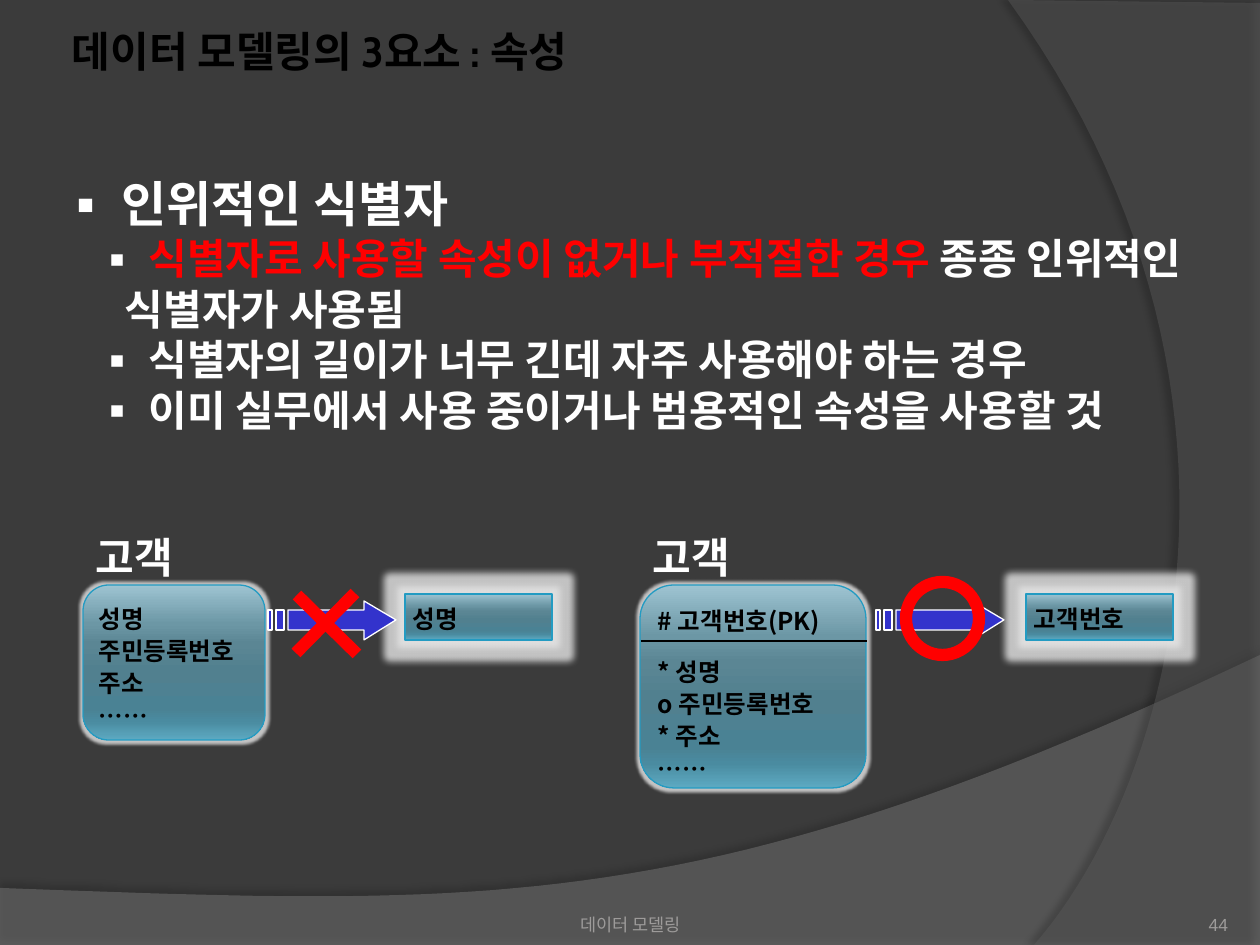
import pptx
import pptx.util
import pptx.oxml
import pptx.dml.color
import pptx.enum.shapes
import pptx.enum.text
import pptx.oxml.ns

PX = 914400 / 126
KIND = pptx.enum.shapes.MSO_SHAPE
ALIGN = pptx.enum.text.PP_ALIGN
ANCHOR = pptx.enum.text.MSO_ANCHOR
RGB = pptx.dml.color.RGBColor.from_string
NS = pptx.oxml.ns.nsdecls("a")
FONT = "Noto Sans CJK KR"
HUE = {"back": "3B3B3B", "hill": "7F7F7F", "side": "5E5E5E", "foot": "9D9B9A",
       "black": "000000", "white": "FFFFFF", "red": "FF0000",
       "blue": "3333CC", "edge": "239BC2", "glow": "E6E6E6"}
STOPS = [(0, "9EC4D2"), (25, "6C97A5"), (38, "5B8694"), (55, "51808F"),
         (80, "4A8294"), (88, "4A8BA0"), (100, "5DAAC2")]

deck = pptx.Presentation()
deck.slide_width = pptx.util.Inches(10)
deck.slide_height = pptx.util.Inches(7.5)
slide = deck.slides.add_slide(deck.slide_layouts[6])
slide.background.fill.solid()
slide.background.fill.fore_color.rgb = RGB(HUE["back"])
shapes = slide.shapes


def scale(*nums):
    return [round(n * PX) for n in nums]


def write(shape, paras, size, hue, inset, font=FONT, bold=True):
    """Fill a shape with paragraphs, each a list of (text, colour or None) runs."""
    frame = shape.text_frame
    frame.word_wrap = True
    (frame.margin_left, frame.margin_top,
     frame.margin_right, frame.margin_bottom) = scale(*inset)
    for i, runs in enumerate(paras):
        para = frame.paragraphs[0] if i == 0 else frame.add_paragraph()
        para.alignment = ALIGN.LEFT
        para.line_spacing = pptx.util.Pt(round(size * (1.32 if size == 14 else 1.2), 1))
        for text, tint in runs:
            run = para.add_run()
            run.text = text
            run.font.size = pptx.util.Pt(size)
            run.font.bold = bold
            run.font.name = font
            run.font.color.rgb = RGB(HUE[tint or hue])
            run.font._element.find(pptx.oxml.ns.qn("a:latin")).addnext(
                pptx.oxml.parse_xml(f'<a:ea {NS} typeface="{FONT}"/>'))
    return frame


# Backdrop: outline points, then one cubic curve, each with a soft shadow
for hue, alpha, line, curve, aim, dark, dist in [
        ("hill", 45, [(0, 888), (0, 946), (1260, 946), (1260, 655)],
         [(704, 919), (493, 906), (0, 888)], 270, 35, 3.5),
        ("side", 40, [(1260, 3), (1260, 945), (1034, 945)],
         [(1178, 780), (1283, 378), (1008, 0)], 180, 45, 4)]:
    knots = [line[-1]] + curve
    bend = []
    for n in range(1, 49):
        t = n / 48
        mix = [(1 - t) ** 3, 3 * t * (1 - t) ** 2, 3 * t * t * (1 - t), t ** 3]
        bend.append(tuple(sum(m * k[a] for m, k in zip(mix, knots)) for a in (0, 1)))
    # Points in tenths of a px keep the curve smooth
    dots = [(round(x * 10), round(y * 10)) for x, y in line + bend]
    build = shapes.build_freeform(*dots[0], scale=PX / 10)
    build.add_line_segments(dots[1:], close=True)
    form = build.convert_to_shape()
    form.fill.solid()
    form.fill.fore_color.rgb = RGB(HUE[hue])
    tone = form._element.spPr.find(".//" + pptx.oxml.ns.qn("a:srgbClr"))
    tone.append(pptx.oxml.parse_xml(f'<a:alpha {NS} val="{alpha * 1000}"/>'))
    form.line.fill.background()
    form.shadow.inherit = False
    form._element.spPr.find(pptx.oxml.ns.qn("a:effectLst")).append(pptx.oxml.parse_xml(
        f'<a:outerShdw {NS} blurRad="50800" dist="{round(dist * 12700)}" dir="{aim * 60000}">'
        f'<a:srgbClr val="{HUE["black"]}"><a:alpha val="{dark * 1000}"/></a:srgbClr>'
        '</a:outerShdw>'))

# Footer
for place, text, align, inset in [
        ((431, 885, 399, 50), "데이터 모델링", ALIGN.CENTER, (0, 6, 0, 0)),
        ((1124, 885, 104, 50), "44", ALIGN.RIGHT, (0, 0, 0, 0))]:
    box = shapes.add_textbox(*scale(*place))
    frame = write(box, [[(text, None)]], 10, "foot", inset, "Arial", False)
    frame.vertical_anchor = ANCHOR.BOTTOM
    frame.paragraphs[0].alignment = align

# Title and bullets
box = shapes.add_textbox(*scale(59, 20, 1126, 63))
write(box, [[("데이터 모델링의 3요소 : 속성", None)]], 24, "black", (13, 6, 13, 6), "Cabin")

box = shapes.add_textbox(*scale(49, 168, 1172, 335))
frame = write(box, [
    [(" 인위적인 식별자", None)],
    [(" ", None), ("식별자로 사용할 속성이 없거나 부적절한 경우 ", "red"),
     ("종종 인위적인 식별자가 사용됨", None)],
    [(" 식별자의 길이가 너무 긴데 자주 사용해야 하는 경우", None)],
    [(" 이미 실무에서 사용 중이거나 범용적인 속성을 사용할 것", None)],
], 24, "white", (13, 6, 13, 6))
for i, para in enumerate(frame.paragraphs):
    props = para._p.get_or_add_pPr()
    left, hang = scale(63, -28) if i else (0, 0)
    props.set("marL", str(left))
    props.set("indent", str(hang))
    props.append(pptx.oxml.parse_xml(f'<a:buFont {NS} typeface="{FONT}"/>'))
    props.append(pptx.oxml.parse_xml(f'<a:buChar {NS} char="▪"/>'))
    para.level = 1 if i else 0
head = frame.paragraphs[0]
head.line_spacing = pptx.util.Pt(33.6)
head.runs[0].font.size = pptx.util.Pt(28)

# Customer entities, each with the identifier it leads to
for left, width, high, rows, goal, key, start in [
        (83, 182, 155, ["성명", "주민등록번호", "주소", "……"], 405, "성명", 268),
        (640, 226, 203, ["# 고객번호(PK)", "* 성명", "o 주민등록번호", "* 주소", "……"],
         1026, "고객번호", 876)]:
    for kind, place, lines, glow in [
            (KIND.FLOWCHART_ALTERNATE_PROCESS, (left, 585, width, high), rows, 6),
            (KIND.RECTANGLE, (goal, 594, 147, 46), [key], 14)]:
        box = shapes.add_shape(kind, *scale(*place))
        box.fill.gradient()
        box.fill.gradient_angle = 270
        stops = box._element.spPr.find(".//" + pptx.oxml.ns.qn("a:gsLst"))
        for old in list(stops):
            stops.remove(old)
        for pos, tint in STOPS:
            stops.append(pptx.oxml.parse_xml(
                f'<a:gs {NS} pos="{pos * 1000}"><a:srgbClr val="{tint}"/></a:gs>'))
        box.line.color.rgb = RGB(HUE["edge"])
        box.line.width = pptx.util.Pt(0.75)
        box.shadow.inherit = False
        box._element.spPr.find(pptx.oxml.ns.qn("a:effectLst")).append(pptx.oxml.parse_xml(
            f'<a:glow {NS} rad="{scale(glow)[0]}"><a:srgbClr val="{HUE["glow"]}">'
            '<a:alpha val="80000"/></a:srgbClr></a:glow>'))
        frame = write(box, [[(row, None)] for row in lines], 14, "black", (8, 8, 8, 8))
        single = len(lines) == 1
        frame.vertical_anchor = ANCHOR.MIDDLE if single else ANCHOR.TOP
        if len(lines) == 5:
            frame.paragraphs[1].space_before = pptx.util.Pt(10.5)

    box = shapes.add_textbox(*scale(left, 532, width, 50))
    frame = write(box, [[("고객", None)]], 24, "white", (13, 0, 13, 0))
    frame.paragraphs[0].alignment = ALIGN.JUSTIFY

    # Striped arrow: head and shaft, then two stripes
    build = shapes.build_freeform(start + 96, 601, scale=PX)
    build.add_line_segments([(start + x, y) for x, y in [
        (96, 610), (20, 610), (20, 630), (96, 630), (96, 640), (128, 620)]], close=True)
    for x, wide in [(8, 8), (0, 4)]:
        x += start
        build.move_to(x, 610)
        build.add_line_segments([(x, 630), (x + wide, 630), (x + wide, 610)], close=True)
    arrow = build.convert_to_shape()
    arrow.fill.solid()
    arrow.fill.fore_color.rgb = RGB(HUE["blue"])
    arrow.line.color.rgb = RGB(HUE["white"])
    arrow.line.width = pptx.util.Pt(0.75)
    arrow.shadow.inherit = False

# Cross on the left arrow, key divider on the right entity
for ends, hue, width in [((296, 653, 355, 593), "red", 7),
                         ((357, 654, 297, 595), "red", 7),
                         ((641, 641, 867, 641), "black", 1)]:
    line = shapes.add_connector(pptx.enum.shapes.MSO_CONNECTOR.STRAIGHT, *scale(*ends))
    line.line.color.rgb = RGB(HUE[hue])
    line.line.width = pptx.util.Pt(width)
    line._element.spPr.append(pptx.oxml.parse_xml(f"<a:effectLst {NS}/>"))

# Ring on the right arrow
ring = shapes.add_shape(KIND.OVAL, *scale(906, 582, 73, 73))
ring.fill.background()
ring.line.color.rgb = RGB(HUE["red"])
ring.line.width = pptx.util.Pt(7)
ring.shadow.inherit = False

deck.save("out.pptx")
